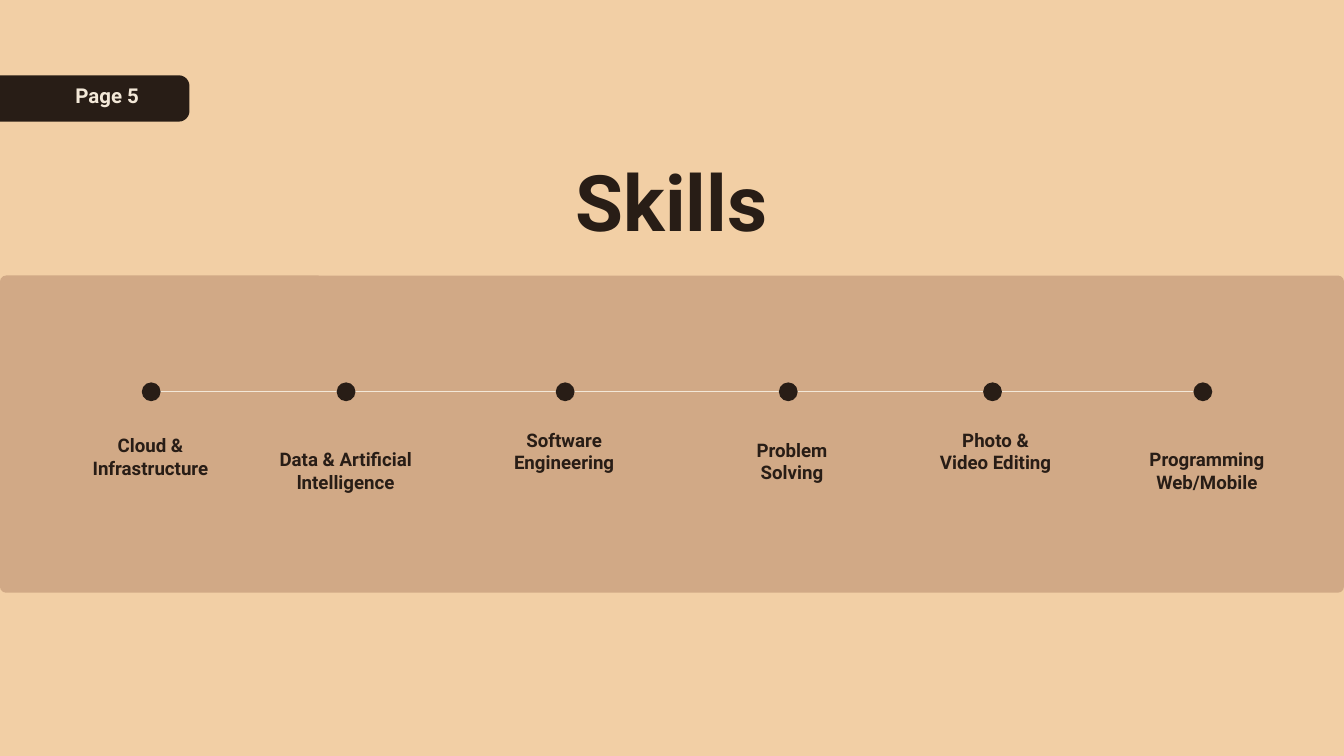
from lxml import etree
from pptx import Presentation
from pptx import util as u
from pptx.dml.color import RGBColor
from pptx.enum import shapes, text
from pptx.oxml.ns import qn

HUES = {"sand": "F2CFA5", "clay": "D1A986", "dark": "281D16", "cream": "F3E8D8"}
AXIS = 5.83
DOT = 0.28
SKILLS = [
    (2.25, "Cloud & Infrastructure", 1.26, 6.46, 1.96),
    (5.15, "Data & Artificial lntelligence", 3.93, 6.67, 2.43),
    (8.41, "Software Engineering", 7.47, 6.38, 1.85),
    (11.73, "Problem Solving", 10.84, 6.53, 1.89),
    (14.77, "Photo & Video Editing", 13.93, 6.38, 1.77),
    (17.9, "Programming Web/Mobile", 17.04, 6.67, 1.84),
]


def hue(name):
    """Return the named colour."""
    return RGBColor.from_string(HUES[name])


def add_form(slide, kind, box, color, radius=None):
    """Add a filled shape without outline, with corners of the given radius."""
    form = slide.shapes.add_shape(kind, *map(u.Inches, box))
    form.shadow.inherit = False
    form.fill.solid()
    form.fill.fore_color.rgb = hue(color)
    form.line.fill.background()
    if radius:
        form.adjustments[0] = radius / min(box[2:])


def add_label(slide, words, box, size, pitch, color="dark", align=text.PP_ALIGN.CENTER):
    """Add a bold text box with exact line pitch in points."""
    frame = slide.shapes.add_textbox(*map(u.Inches, box)).text_frame
    frame.margin_left = frame.margin_right = frame.margin_top = frame.margin_bottom = 0
    frame.word_wrap = True
    frame.auto_size = text.MSO_AUTO_SIZE.SHAPE_TO_FIT_TEXT
    para = frame.paragraphs[0]
    para.text = words
    para.alignment = align
    para.line_spacing = u.Pt(pitch)
    para.font.name = "Roboto"
    para.font.size = u.Pt(size)
    para.font.bold = True
    para.font.color.rgb = hue(color)


def add_axis(slide, start, end):
    """Add the thin horizontal timeline."""
    line = slide.shapes.add_connector(
        shapes.MSO_CONNECTOR.STRAIGHT, *map(u.Inches, (start, AXIS, end, AXIS)))
    line.line.color.rgb = hue("cream")
    line.line.width = u.Pt(0.75)
    etree.SubElement(line._element.spPr, qn("a:effectLst"))


def add_skill(slide, center, words, left, top, width):
    """Add a timeline dot and its label."""
    box = (center - DOT / 2, AXIS - DOT / 2, DOT, DOT)
    add_form(slide, shapes.MSO_SHAPE.OVAL, box, "dark")
    add_label(slide, words, (left, top, width, 0.65), 20, 24)


def main():
    """Build the skills slide."""
    deck = Presentation()
    deck.slide_width, deck.slide_height = u.Inches(20), u.Inches(11.25)
    slide = deck.slides.add_slide(deck.slide_layouts[6])
    slide.background.fill.solid()
    slide.background.fill.fore_color.rgb = hue("sand")

    rounded = shapes.MSO_SHAPE.ROUNDED_RECTANGLE
    add_form(slide, rounded, (0, 4.1, 20, 4.72), "clay", 0.09)
    add_axis(slide, SKILLS[0][0], SKILLS[-1][0])
    add_label(slide, "Skills", (8.52, 2.82, 2.95, 0.99), 83.5, 61.8)
    for skill in SKILLS:
        add_skill(slide, *skill)
    add_form(slide, rounded, (-0.58, 1.12, 3.4, 0.69), "dark", 0.16)
    add_label(slide, "Page 5", (1.12, 1.38, 1.12, 0.26), 21.9, 16.2,
              "cream", text.PP_ALIGN.LEFT)
    deck.save("out.pptx")


if __name__ == "__main__":
    main()
